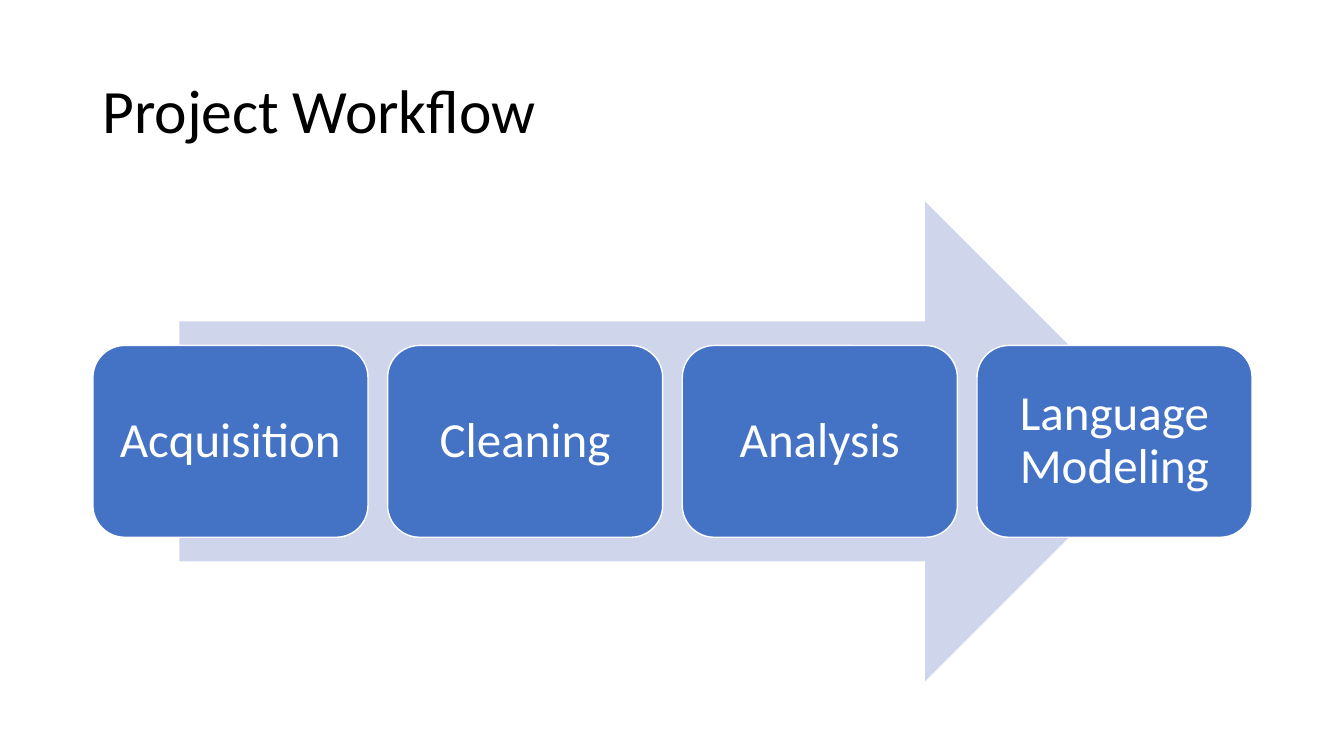
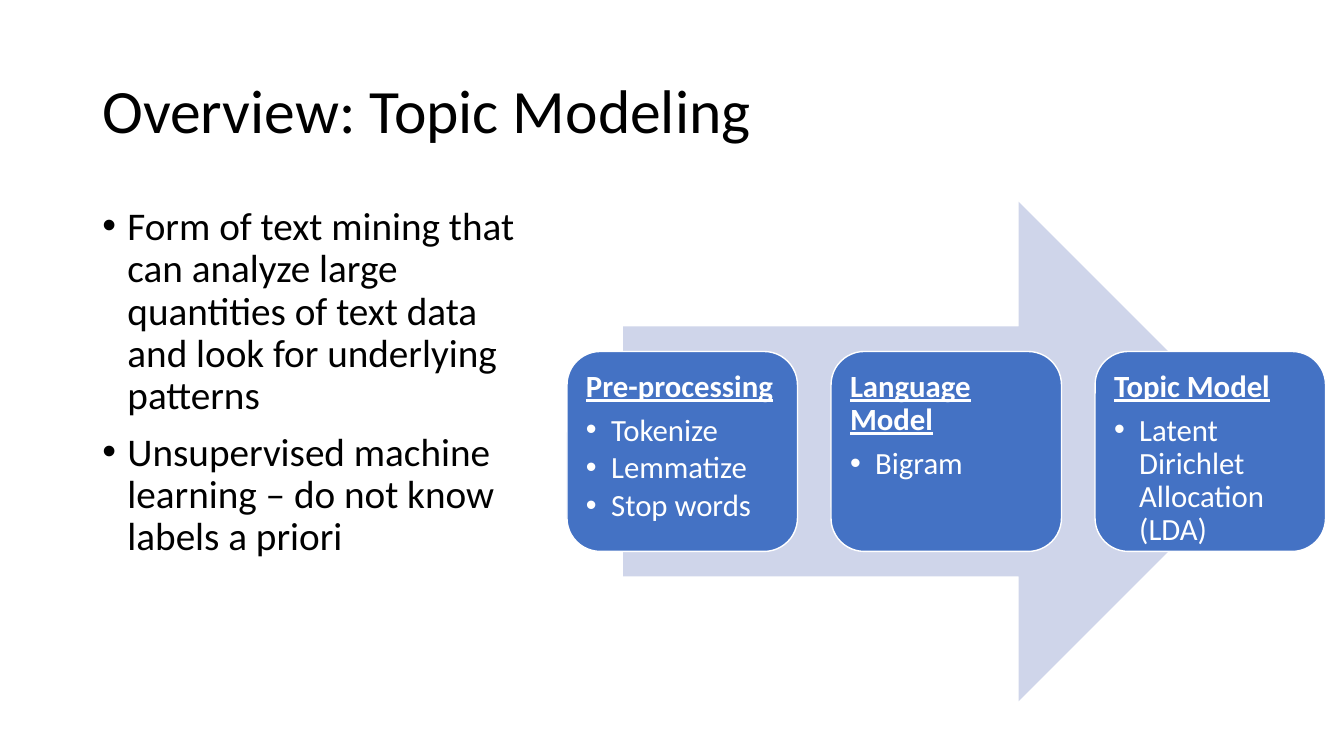
from dataclasses import dataclass
from typing import Optional

from lxml import etree
from pptx import Presentation
from pptx.dml.color import RGBColor
from pptx.enum import shapes, text
from pptx.oxml import ns
from pptx.util import Pt


@dataclass(frozen=True)
class Theme:
    font: str = "Calibri"
    ink: RGBColor = RGBColor(0, 0, 0)
    paper: RGBColor = RGBColor(255, 255, 255)
    card: RGBColor = RGBColor(0x44, 0x72, 0xC4)
    arrow: RGBColor = RGBColor(0xCF, 0xD5, 0xEA)
    title_size: float = 44
    body_size: float = 28
    step_size: float = 35
    detail_size: float = 22
    line_spacing: float = 0.9
    bullet_indent: float = 18
    card_share: float = 0.4


THEME = Theme()


@dataclass(frozen=True)
class Area:
    left: float
    top: float
    width: float
    height: float

    def lengths(self):
        return Pt(self.left), Pt(self.top), Pt(self.width), Pt(self.height)


@dataclass(frozen=True)
class Line:
    words: str
    size: float
    color: RGBColor = THEME.paper
    strong: bool = False
    bullet: bool = False
    before: float = 0
    after: float = 0
    align: Optional[text.PP_ALIGN] = None


@dataclass(frozen=True)
class Workflow:
    arrow: Area
    left: float
    card_width: float
    gap: float
    inset: float
    anchor: text.MSO_ANCHOR
    cards: list[list[Line]]


def add_bullet(para) -> None:
    properties = para._p.get_or_add_pPr()
    indent = Pt(THEME.bullet_indent)
    properties.set("marL", str(indent))
    properties.set("indent", str(-indent))
    etree.SubElement(properties, ns.qn("a:buFont")).set("typeface", "Arial")
    etree.SubElement(properties, ns.qn("a:buChar")).set("char", "•")


def write_lines(frame, lines: list[Line], anchor: text.MSO_ANCHOR) -> None:
    frame.word_wrap = True
    frame.vertical_anchor = anchor
    for index, line in enumerate(lines):
        para = frame.add_paragraph() if index else frame.paragraphs[0]
        if line.bullet:
            add_bullet(para)
        para.alignment = line.align or text.PP_ALIGN.LEFT
        para.line_spacing = THEME.line_spacing
        para.space_before = Pt(line.before)
        para.space_after = Pt(line.after)
        span = para.add_run()
        span.text = line.words
        span.font.name = THEME.font
        span.font.size = Pt(line.size)
        span.font.color.rgb = line.color
        span.font.bold = line.strong
        span.font.underline = line.strong


def add_text(page, area: Area, lines: list[Line],
             anchor: text.MSO_ANCHOR = text.MSO_ANCHOR.TOP) -> None:
    box = page.shapes.add_textbox(*area.lengths())
    write_lines(box.text_frame, lines, anchor)


def add_shape(page, kind: shapes.MSO_SHAPE, area: Area, fill: RGBColor):
    shape = page.shapes.add_shape(kind, *area.lengths())
    shape.shadow.inherit = False
    shape.fill.solid()
    shape.fill.fore_color.rgb = fill
    shape.line.fill.background()
    return shape


def add_workflow(page, flow: Workflow) -> None:
    arrow = flow.arrow
    add_shape(page, shapes.MSO_SHAPE.RIGHT_ARROW, arrow, THEME.arrow)
    height = arrow.height * THEME.card_share
    top = arrow.top + (arrow.height - height) / 2
    for index, lines in enumerate(flow.cards):
        left = flow.left + index * (flow.card_width + flow.gap)
        card = add_shape(page, shapes.MSO_SHAPE.ROUNDED_RECTANGLE,
                         Area(left, top, flow.card_width, height), THEME.card)
        card.line.color.rgb = THEME.paper
        card.line.width = Pt(1)
        frame = card.text_frame
        frame.margin_left = frame.margin_right = Pt(flow.inset)
        frame.margin_top = frame.margin_bottom = Pt(flow.inset)
        write_lines(frame, lines, flow.anchor)


def add_page(deck, title: str):
    page = deck.slides.add_slide(deck.slide_layouts[6])
    add_text(page, Area(66, 28.8, 828, 104.4),
             [Line(title, THEME.title_size, THEME.ink)], text.MSO_ANCHOR.MIDDLE)
    return page


def step(words: str) -> list[Line]:
    return [Line(words, THEME.step_size, align=text.PP_ALIGN.CENTER)]


def stage(heading: str, *details: str) -> list[Line]:
    size = THEME.detail_size
    return [Line(heading, size, strong=True, after=0.35 * size)] + [
        Line(detail, size, bullet=True, after=0.15 * size) for detail in details]


def build_project_workflow(deck) -> None:
    page = add_page(deck, "Project Workflow")
    names = ["Acquisition", "Cleaning", "Analysis", "Language Modeling"]
    add_workflow(page, Workflow(
        arrow=Area(128.1, 144, 704, 342.6), left=66.4, card_width=196.5, gap=14,
        inset=10.5, anchor=text.MSO_ANCHOR.MIDDLE,
        cards=[step(name) for name in names]))


def build_topic_modeling(deck) -> None:
    page = add_page(deck, "Overview: Topic Modeling")
    points = ["Form of text mining that can analyze large quantities of text data "
              "and look for underlying patterns",
              "Unsupervised machine learning – do not know labels a priori"]
    add_text(page, Area(66, 144, 324, 342.6), [
        Line(point, THEME.body_size, THEME.ink, bullet=True, before=10 if index else 0)
        for index, point in enumerate(points)])
    add_workflow(page, Workflow(
        arrow=Area(445, 144, 461, 357), left=405, card_width=164.6, gap=24,
        inset=6.6, anchor=text.MSO_ANCHOR.TOP,
        cards=[stage("Pre-processing", "Tokenize", "Lemmatize", "Stop words"),
               stage("Language Model", "Bigram"),
               stage("Topic Model", "Latent Dirichlet Allocation (LDA)")]))


def main() -> None:
    deck = Presentation()
    deck.slide_width, deck.slide_height = Pt(960), Pt(540)
    build_project_workflow(deck)
    build_topic_modeling(deck)
    deck.save("out.pptx")


if __name__ == "__main__":
    main()
